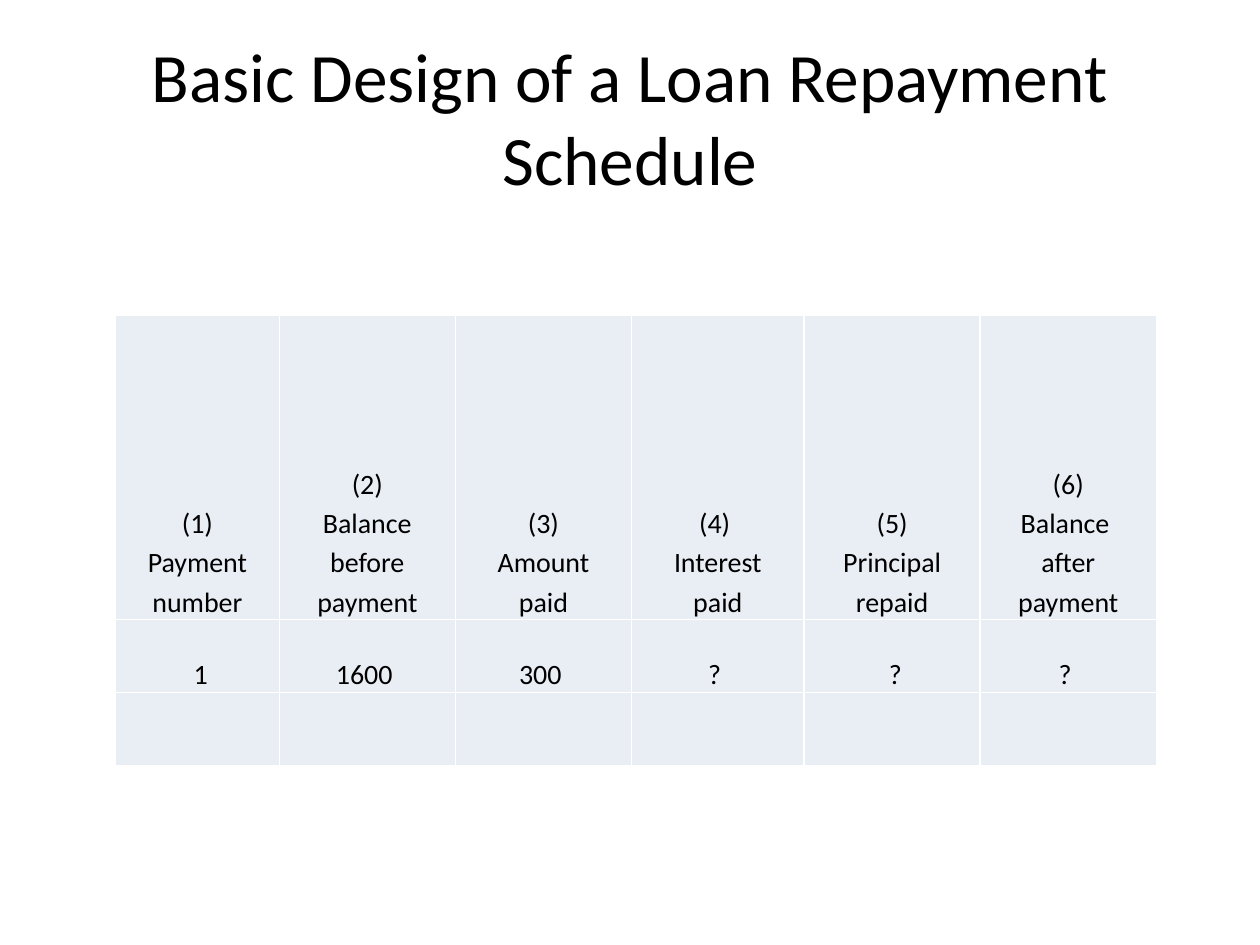
import pptx
import pptx.dml.color
import pptx.enum.text
import pptx.oxml
import pptx.oxml.ns
import pptx.util
from pptx.util import Cm


def tint(code):
    return pptx.dml.color.RGBColor.from_string(code)


class Deck:
    face = "Calibri"
    ink = "000000"
    fill = "E9EDF4"
    rule = "FFFFFF"

    def __init__(self, wide, high):
        self.show = pptx.Presentation()
        self.show.slide_width, self.show.slide_height = wide, high
        self.slide = self.show.slides.add_slide(self.show.slide_layouts[5])

    def style(self, para, size):
        para.alignment = pptx.enum.text.PP_ALIGN.CENTER
        para.font.name = self.face
        para.font.size = pptx.util.Pt(size)
        para.font.color.rgb = tint(self.ink)

    def title(self, text, left, top, wide, high):
        shape = self.slide.shapes.title
        shape.left, shape.top, shape.width, shape.height = left, top, wide, high
        frame = shape.text_frame
        frame.text = text
        frame.word_wrap = True
        frame.vertical_anchor = pptx.enum.text.MSO_ANCHOR.MIDDLE
        self.style(frame.paragraphs[0], 39.6)

    def border(self, cell):
        props = cell._tc.get_or_add_tcPr()
        for side in "LRTB":
            props.append(pptx.oxml.parse_xml(
                f'<a:ln{side} {pptx.oxml.ns.nsdecls("a")} w="12700"><a:solidFill>'
                f'<a:srgbClr val="{self.rule}"/></a:solidFill></a:ln{side}>'))

    def cell(self, cell, text):
        self.border(cell)
        cell.fill.solid()
        cell.fill.fore_color.rgb = tint(self.fill)
        cell.margin_left = cell.margin_right = 0
        cell.margin_top = cell.margin_bottom = 0
        cell.vertical_anchor = pptx.enum.text.MSO_ANCHOR.BOTTOM
        cell.text = text
        for para in cell.text_frame.paragraphs:
            para.line_spacing = 1.15
            self.style(para, 16)

    def table(self, data, left, top, cols, rows):
        table = self.slide.shapes.add_table(
            len(rows), len(cols), left, top, sum(cols), sum(rows)).table
        table.first_row = table.horz_banding = False
        for col, wide in zip(table.columns, cols):
            col.width = wide
        for row, high, texts in zip(table.rows, rows, data):
            row.height = high
            for cell, text in zip(row.cells, texts):
                self.cell(cell, text)


def main():
    deck = Deck(Cm(25.4), Cm(19.05))
    deck.title("Basic Design of a Loan Repayment Schedule",
               Cm(1.27), Cm(0.76), Cm(22.86), Cm(3.18))
    heads = ["(1)\nPayment\nnumber", "(2)\nBalance\nbefore payment",
             "(3)\nAmount\npaid", "(4) \nInterest\npaid",
             "(5)\nPrincipal\nrepaid", "(6)\nBalance \nafter\npayment"]
    first = [" 1", "1600 ", "300 ", "? ", " ?", "? "]
    cols = [Cm(wide) for wide in (3.3, 3.55, 3.55, 3.48, 3.55, 3.55)]
    rows = [Cm(high) for high in (6.14, 1.47, 1.47)]
    deck.table([heads, first, [""] * len(cols)], Cm(2.33), Cm(6.35), cols, rows)
    deck.show.save("out.pptx")


if __name__ == "__main__":
    main()
